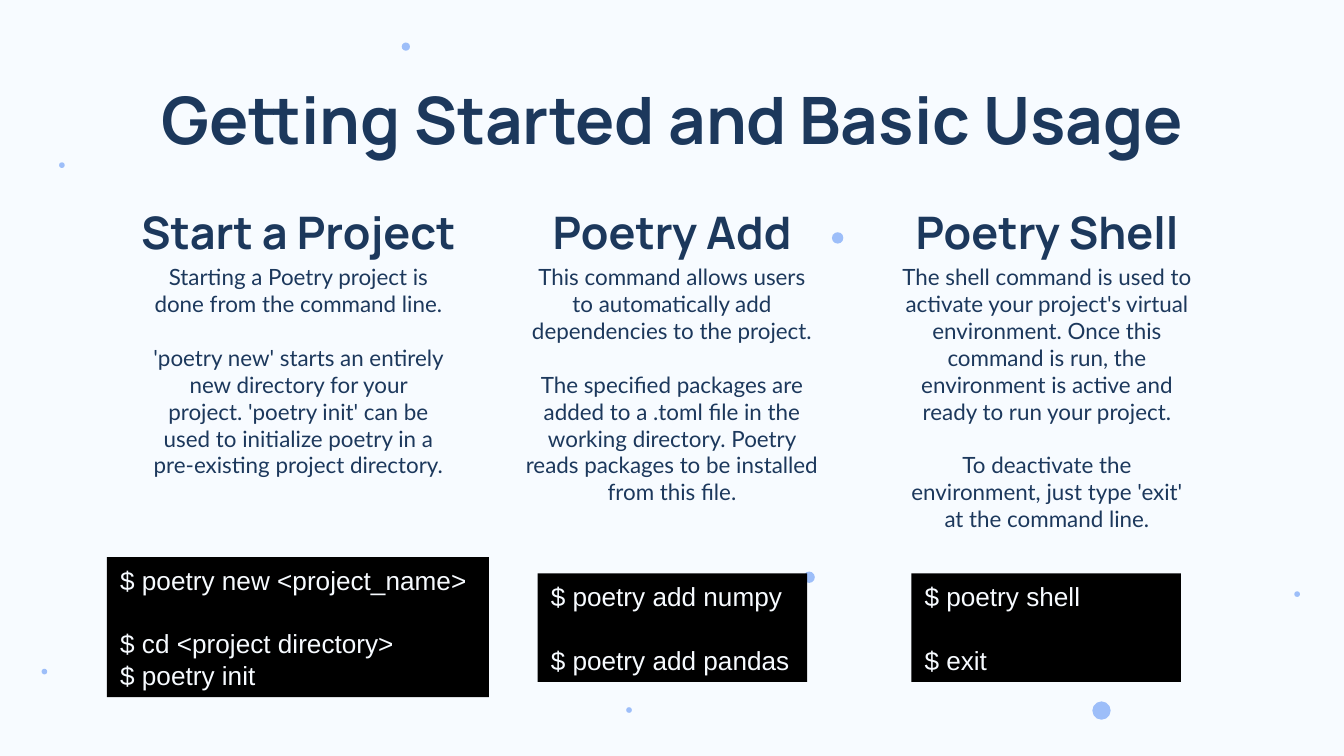
import pptx
import pptx.util
import pptx.dml.color
import pptx.enum.shapes
import pptx.enum.text

Pt = pptx.util.Pt
ALIGN = pptx.enum.text.PP_ALIGN
ANCHOR = pptx.enum.text.MSO_ANCHOR
SHAPE = pptx.enum.shapes.MSO_SHAPE

COLORS = {"paper": "F7FBFF", "navy": "1C385C", "dot": "9DBEF9", "terminal": "000000"}
SLIDE_WIDTH, SLIDE_HEIGHT = 720, 405

# Left, top and diameter of each dot
DOTS = [
    (585.2, 375.8, 9.8), (693.4, 316.8, 3), (22.3, 358.3, 3), (335.5, 378.9, 3),
    (31.7, 87, 3), (215.2, 22.8, 4.4), (445.7, 124.4, 6.1), (430.4, 306.2, 6.1),
]

TITLE_STYLE = {"name": "Manrope", "size": Pt(35), "bold": True}
HEADING_STYLE = {"name": "Manrope", "size": Pt(24), "bold": True}
BODY_STYLE = {"name": "Lato", "size": Pt(12)}
CODE_STYLE = {"name": "Arial", "size": Pt(14)}
BODY_GAP = 14.4
CODE_PITCH = 17

# Boxes are left, top, width, height; a code line with True has a gap before it
COLUMNS = [
    {
        "heading": "Start a Project",
        "heading_box": (57.6, 103.7, 204.5, 41.8),
        "body_box": (74.2, 133.9, 171.4, 68.4),
        "body": [
            "Starting a Poetry project is done from the command line.",
            "'poetry new' starts an entirely new directory for your project. "
            "'poetry init' can be used to initialize poetry in a pre-existing "
            "project directory.",
        ],
        "terminal_box": (57.3, 298.5, 204.7, 75),
        "code": [("$ poetry new <project_name>", False),
                 ("$ cd <project directory>", True), ("$ poetry init", False)],
    },
    {
        "heading": "Poetry Add",
        "heading_box": (274.3, 103.7, 171.4, 41.8),
        "body_box": (274.3, 133.9, 171.4, 68.4),
        "body": [
            "This command allows users to automatically add dependencies to the project.",
            "The specified packages are added to a .toml file in the working directory. "
            "Poetry reads packages to be installed from this file.",
        ],
        "terminal_box": (288, 307.2, 144.5, 58.2),
        "code": [("$ poetry add numpy", False), ("$ poetry add pandas", True)],
    },
    {
        "heading": "Poetry Shell",
        "heading_box": (475.2, 103.7, 171.4, 41.8),
        "body_box": (475.2, 133.9, 171.4, 68.4),
        "body": [
            "The shell command is used to activate your project's virtual environment. "
            "Once this command is run, the environment is active and ready to run "
            "your project.",
            "To deactivate the environment, just type 'exit' at the command line.",
        ],
        "terminal_box": (488.2, 307.2, 144.5, 58.2),
        "code": [("$ poetry shell", False), ("$ exit", True)],
    },
]


def rgb(name):
    return pptx.dml.color.RGBColor.from_string(COLORS[name])


def write_lines(frame, lines, style, color, align, line_spacing=None):
    """Fill a frame with (text, space before) pairs."""
    for index, (text, gap) in enumerate(lines):
        paragraph = frame.paragraphs[0] if index == 0 else frame.add_paragraph()
        paragraph.text = text
        paragraph.alignment = align
        paragraph.space_before = Pt(gap)
        paragraph.line_spacing = line_spacing
        for attribute, value in style.items():
            setattr(paragraph.font, attribute, value)
        paragraph.font.color.rgb = rgb(color)


def set_frame(frame, horizontal, vertical, anchor=ANCHOR.TOP):
    settings = {
        "word_wrap": True, "vertical_anchor": anchor,
        "margin_left": Pt(horizontal), "margin_right": Pt(horizontal),
        "margin_top": Pt(vertical), "margin_bottom": Pt(vertical),
    }
    for attribute, value in settings.items():
        setattr(frame, attribute, value)


def add_filled(slide, kind, box, color):
    shape = slide.shapes.add_shape(kind, *map(Pt, box))
    shape.shadow.inherit = False
    shape.fill.solid()
    shape.fill.fore_color.rgb = rgb(color)
    shape.line.fill.background()
    return shape


def add_centered_text(slide, box, lines, style, anchor=ANCHOR.TOP):
    frame = slide.shapes.add_textbox(*map(Pt, box)).text_frame
    set_frame(frame, 7.2, 7.2, anchor)
    write_lines(frame, lines, style, "navy", ALIGN.CENTER)


def add_terminal(slide, box, code):
    frame = add_filled(slide, SHAPE.RECTANGLE, box, "terminal").text_frame
    set_frame(frame, 7.2, 3.6)
    lines = [(text, CODE_PITCH if gap else 0) for text, gap in code]
    write_lines(frame, lines, CODE_STYLE, "paper", ALIGN.LEFT, Pt(CODE_PITCH))


def add_column(slide, column):
    body = [(text, BODY_GAP if index else 0) for index, text in enumerate(column["body"])]
    add_centered_text(slide, column["body_box"], body, BODY_STYLE)
    add_centered_text(slide, column["heading_box"], [(column["heading"], 0)],
                      HEADING_STYLE, ANCHOR.BOTTOM)
    add_terminal(slide, column["terminal_box"], column["code"])


def add_backdrop(slide):
    slide.background.fill.solid()
    slide.background.fill.fore_color.rgb = rgb("paper")
    for left, top, diameter in DOTS:
        add_filled(slide, SHAPE.OVAL, (left, top, diameter, diameter), "dot")


def main():
    deck = pptx.Presentation()
    deck.slide_width, deck.slide_height = Pt(SLIDE_WIDTH), Pt(SLIDE_HEIGHT)
    slide = deck.slides.add_slide(deck.slide_layouts[6])
    add_backdrop(slide)
    add_centered_text(slide, (56.9, 35.3, 607, 45.4),
                      [("Getting Started and Basic Usage", 0)], TITLE_STYLE)
    for column in COLUMNS:
        add_column(slide, column)
    deck.save("out.pptx")


if __name__ == "__main__":
    main()
